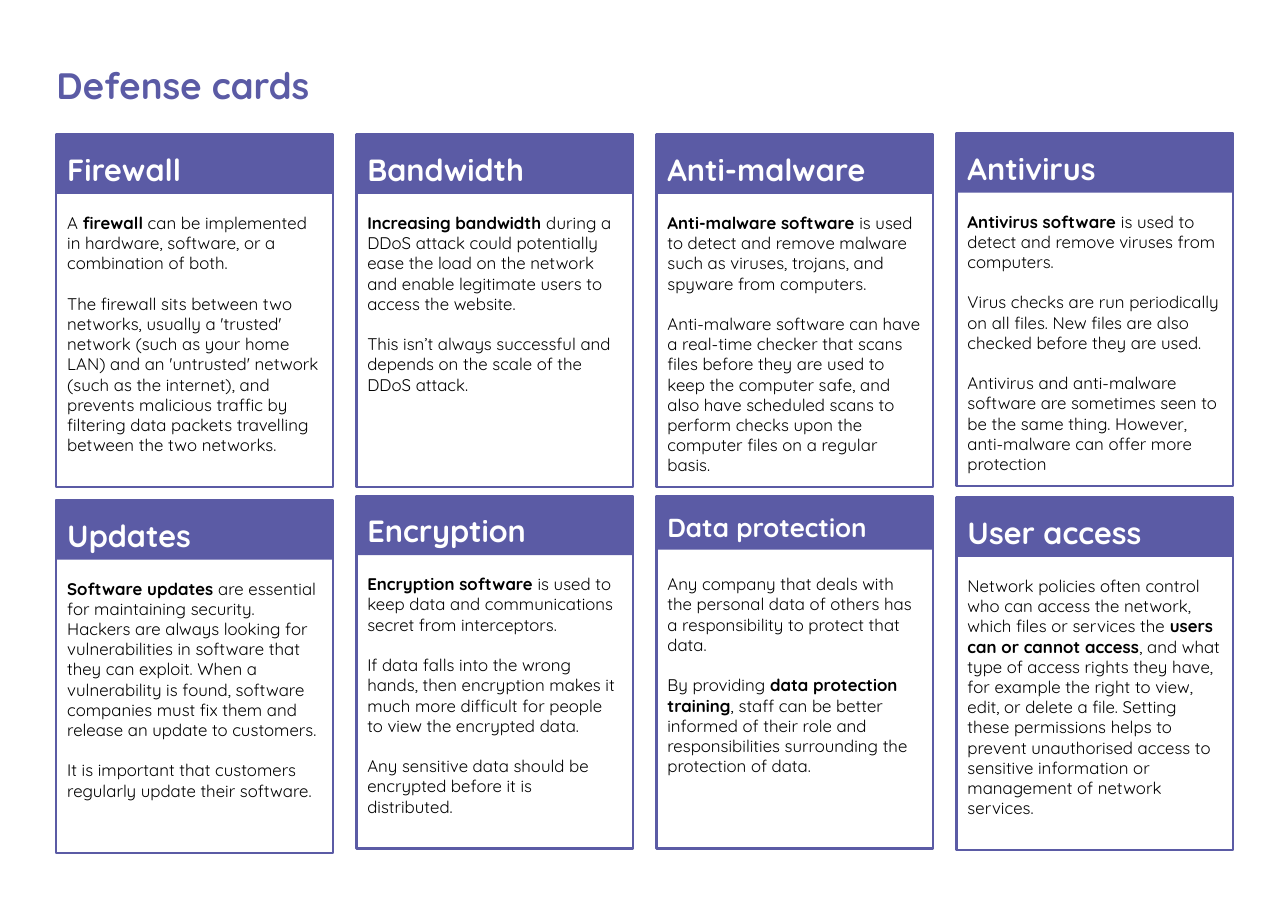
"""Build the slide of eight defense cards."""
from dataclasses import dataclass

from pptx import Presentation
from pptx.dml.color import RGBColor as Rgb
from pptx.enum.shapes import MSO_SHAPE as Kind
from pptx.enum.text import MSO_ANCHOR as Anchor, PP_ALIGN as Align
from pptx.util import Cm, Pt

HUES = {"violet": "5B5BA5", "white": "FFFFFF", "black": "000000"}
FONT = "Quicksand"
LEFT, STEP = 1.3, 6.92
WIDTH, HEIGHT = 6.38, 8.13
DROP = 1.55
INSET, LINE = 0.25, 0.47


@dataclass
class Card:
    col: int
    top: float
    name: str
    text: str
    lines: int
    size: int = 20
    bar: float = 1.37


CARDS = [
    Card(0, 3.1, "Firewall",
         "A *firewall* can be implemented in hardware, software, or a combination of both.\n"
         "The firewall sits between two networks, usually a 'trusted' network (such as your "
         "home LAN) and an 'untrusted' network (such as the internet), and prevents malicious "
         "traffic by filtering data packets travelling between the two networks.", 12),
    Card(1, 3.1, "Bandwidth",
         "*Increasing bandwidth* during a DDoS attack could potentially ease the load on the "
         "network and enable legitimate users to access the website.\n"
         "This isn’t always successful and depends on the scale of the DDoS attack.", 9),
    Card(2, 3.1, "Anti-malware",
         "*Anti-malware software* is used to detect and remove malware such as viruses, "
         "trojans, and spyware from computers.\n"
         "Anti-malware software can have a real-time checker that scans files before they are "
         "used to keep the computer safe, and also have scheduled scans to perform checks upon "
         "the computer files on a regular basis.", 13),
    Card(3, 3.07, "Antivirus",
         "*Antivirus software* is used to detect and remove viruses from computers.\n"
         "Virus checks are run periodically on all files. New files are also checked before "
         "they are used.\n"
         "Antivirus and anti-malware software are sometimes seen to be the same thing. However, "
         "anti-malware can offer more protection", 13),
    Card(0, 11.53, "Updates",
         "*Software updates* are essential for maintaining security. Hackers are always looking "
         "for vulnerabilities in software that they can exploit. When a vulnerability is found, "
         "software companies must fix them and release an update to customers.\n"
         "It is important that customers regularly update their software.", 11),
    Card(1, 11.43, "Encryption",
         "*Encryption software* is used to keep data and communications secret from "
         "interceptors.\n"
         "If data falls into the wrong hands, then encryption makes it much more difficult for "
         "people to view the encrypted data.\n"
         "Any sensitive data should be encrypted before it is distributed.", 12),
    Card(2, 11.43, "Data protection",
         "Any company that deals with the personal data of others has a responsibility to "
         "protect that data.\n"
         "By providing *data protection training*, staff can be better informed of their role "
         "and responsibilities surrounding the protection of data.", 10, size=17, bar=1.24),
    Card(3, 11.47, "User access",
         "Network policies often control who can access the network, which files or services "
         "the *users can or cannot access*, and what type of access rights they have, for "
         "example the right to view, edit, or delete a file. Setting these permissions helps to "
         "prevent unauthorised access to sensitive information or management of network "
         "services.", 12),
]


def write(shape, text: str, *, size: float, hue: str, bold: bool = False,
          pitch: float = 1.0, gap: float = 0, after: float = 0) -> None:
    """Fill a shape with text, one paragraph a line, bold between asterisks."""
    frame = shape.text_frame
    frame.word_wrap = True
    frame.vertical_anchor = Anchor.TOP
    frame.margin_left = frame.margin_right = Cm(INSET)
    frame.margin_top = frame.margin_bottom = Cm(INSET)
    for row, part in enumerate(text.split("\n")):
        para = frame.add_paragraph() if row else frame.paragraphs[0]
        para.alignment = Align.LEFT
        para.line_spacing = pitch
        para.space_before = Pt(gap if row else 0)
        para.space_after = Pt(after)
        for turn, words in enumerate(part.split("*")):
            if not words:
                continue
            run = para.add_run()
            run.text = words
            run.font.name = FONT
            run.font.size = Pt(size)
            run.font.bold = bold or turn % 2 == 1
            run.font.color.rgb = Rgb.from_string(HUES[hue])


def add_box(slide, left: float, top: float, tall: float, *, solid: bool):
    """Add a violet rectangle, either solid or outlined."""
    box = slide.shapes.add_shape(Kind.RECTANGLE, Cm(left), Cm(top), Cm(WIDTH), Cm(tall))
    box.shadow.inherit = False
    violet = Rgb.from_string(HUES["violet"])
    if solid:
        box.fill.solid()
        box.fill.fore_color.rgb = violet
        box.line.fill.background()
    else:
        box.fill.background()
        box.line.color.rgb = violet
        box.line.width = Pt(1.5)
    return box


def add_card(slide, card: Card) -> None:
    """Draw the frame, heading bar and body of one card."""
    left = LEFT + card.col * STEP
    add_box(slide, left, card.top, HEIGHT, solid=False)
    bar = add_box(slide, left, card.top, card.bar, solid=True)
    write(bar, card.name, size=card.size, hue="white", bold=True, pitch=1.15, after=6)
    tall = 2 * INSET + card.lines * LINE
    body = slide.shapes.add_textbox(Cm(left), Cm(card.top + DROP), Cm(WIDTH), Cm(tall))
    write(body, card.text, size=11, hue="black", gap=13.2)


def main() -> None:
    """Build and save the slide."""
    deck = Presentation()
    deck.slide_width, deck.slide_height = Cm(29.7), Cm(21)
    slide = deck.slides.add_slide(deck.slide_layouts[6])
    title = slide.shapes.add_textbox(Cm(1.05), Cm(1.05), Cm(8.33), Cm(1.55))
    write(title, "Defense cards", size=24, hue="violet", bold=True, pitch=1.15, after=6)
    for card in CARDS:
        add_card(slide, card)
    deck.save("out.pptx")


if __name__ == "__main__":
    main()
